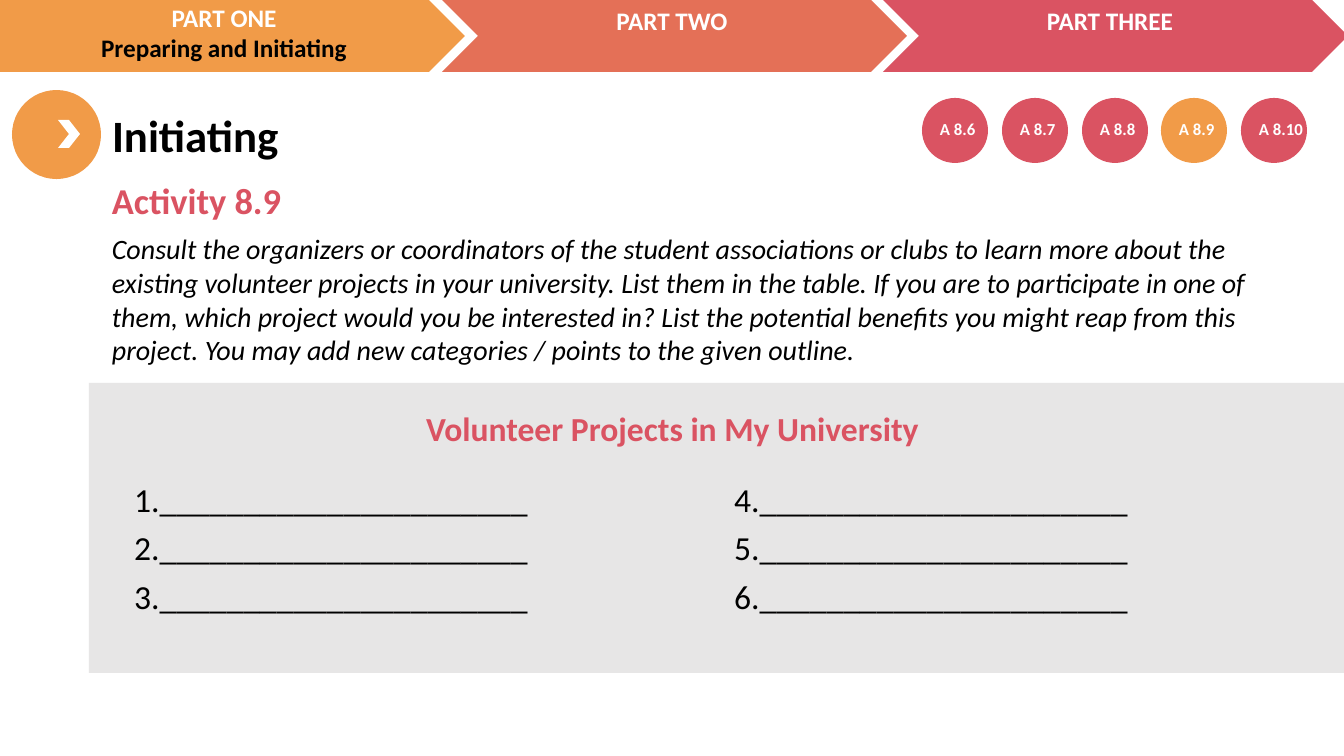
from dataclasses import dataclass

from pptx import Presentation
from pptx.dml.color import RGBColor
from pptx.enum.shapes import MSO_SHAPE
from pptx.enum.text import MSO_ANCHOR, MSO_AUTO_SIZE, PP_ALIGN
from pptx.util import Pt

CHEVRON, OVAL, RECTANGLE = MSO_SHAPE.CHEVRON, MSO_SHAPE.OVAL, MSO_SHAPE.RECTANGLE
LEFT, CENTER = PP_ALIGN.LEFT, PP_ALIGN.CENTER
EMU_PER_PX = 914400 / 100.8
PAGE_WIDTH, PAGE_HEIGHT = 1344, 756


@dataclass(frozen=True)
class Theme:
    font: str = "Calibri"
    orange: str = "F19B48"
    coral: str = "E47057"
    red: str = "DA5362"
    gray: str = "E7E6E6"
    white: str = "FFFFFF"
    black: str = "000000"
    title_size: int = 32
    activity_size: int = 26
    table_size: int = 24
    body_size: int = 20
    banner_size: int = 18
    badge_size: int = 12


THEME = Theme()

TITLE = "Initiating"
ACTIVITY = "Activity 8.9"
INSTRUCTIONS = (
    "Consult the organizers or coordinators of the student associations or clubs "
    "to learn more about the existing volunteer projects in your university. "
    "List them in the table. If you are to participate in one of them, which "
    "project would you be interested in? List the potential benefits you might "
    "reap from this project. You may add new categories / points to the given outline."
)
TABLE_TITLE = "Volunteer Projects in My University"
BADGES = ["A 8.6", "A 8.7", "A 8.8", "A 8.9", "A 8.10"]
CURRENT_BADGE = "A 8.9"
ENTRY_COLUMNS = [(1, 2, 3), (4, 5, 6)]
ENTRY_BLANK = "_" * 22

# Arrow box, fill, text box, lines with their colours
BANNERS = [
    ((442, 0, 465, 72), THEME.coral, (442, 0, 460, 40),
     [("PART TWO", THEME.white)]),
    ((883, 0, 465, 72), THEME.red, (880, 0, 460, 40),
     [("PART THREE", THEME.white)]),
    ((-61, 0, 526, 72), THEME.orange, (-6, -3, 460, 72),
     [("PART ONE", THEME.white), ("Preparing and Initiating", THEME.black)]),
]


def emu(box):
    return [round(length * EMU_PER_PX) for length in box]


def add_block(shapes, kind, box, fill):
    """Add a flat, borderless preset shape."""
    block = shapes.add_shape(kind, *emu(box))
    block.shadow.inherit = False
    block.fill.solid()
    block.fill.fore_color.rgb = RGBColor.from_string(fill)
    block.line.fill.background()


def write(frame, lines, size, align=LEFT, bold=False, italic=False, spacing=None):
    """Fill a text frame with (text, colour) lines, one paragraph each."""
    frame.word_wrap = True
    frame.auto_size = MSO_AUTO_SIZE.NONE
    frame.vertical_anchor = MSO_ANCHOR.TOP
    for index, (text, color) in enumerate(lines):
        para = frame.add_paragraph() if index else frame.paragraphs[0]
        para.text = text
        para.alignment = align
        if spacing:
            para.line_spacing = spacing
        font = para.font
        font.name, font.size = THEME.font, Pt(size)
        font.bold, font.italic = bold, italic
        font.color.rgb = RGBColor.from_string(color)


def add_text(shapes, box, lines, size, **style):
    write(shapes.add_textbox(*emu(box)).text_frame, lines, size, **style)


def add_heading(page):
    add_block(page.shapes, OVAL, (12, 90, 89, 89), THEME.orange)
    add_block(page.shapes, CHEVRON, (58, 120, 22, 28), THEME.white)
    title = page.shapes.title
    title.left, title.top, title.width, title.height = emu((102, 103, 489, 65))
    write(title.text_frame, [(TITLE, THEME.black)], THEME.title_size, bold=True)


def add_banners(page):
    for arrow_box, fill, text_box, lines in BANNERS:
        add_block(page.shapes, CHEVRON, arrow_box, fill)
        add_text(page.shapes, text_box, lines, THEME.banner_size,
                 align=CENTER, bold=True)


def add_badges(page):
    first_left, last_left, top = 922, 1241, 98
    step = (last_left - first_left) / (len(BADGES) - 1)
    for index, label in enumerate(BADGES):
        left = round(first_left + index * step)
        fill = THEME.orange if label == CURRENT_BADGE else THEME.red
        badge = page.shapes.add_group_shape().shapes
        add_block(badge, OVAL, (left, top, 66, 65), fill)
        add_text(badge, (left + 8, top + 16, 80, 30), [(label, THEME.white)],
                 THEME.badge_size, bold=True)


def add_activity(page):
    add_text(page.shapes, (102, 173, 1200, 54), [(ACTIVITY, THEME.red)],
             THEME.activity_size, bold=True)
    add_text(page.shapes, (102, 227, 1190, 146), [(INSTRUCTIONS, THEME.black)],
             THEME.body_size, italic=True)


def add_project_table(page):
    add_block(page.shapes, RECTANGLE, (89, 383, 1298, 290), THEME.gray)
    add_text(page.shapes, (342, 395, 661, 55), [(TABLE_TITLE, THEME.red)],
             THEME.table_size, align=CENTER, bold=True, spacing=1.2)
    for column, numbers in enumerate(ENTRY_COLUMNS):
        entries = [(f"{number}.{ENTRY_BLANK}", THEME.black) for number in numbers]
        add_text(page.shapes, (53 + column * 600, 466, 556, 153), entries,
                 THEME.table_size, align=CENTER, spacing=1.2)


def main():
    deck = Presentation()
    deck.slide_width, deck.slide_height = emu((PAGE_WIDTH, PAGE_HEIGHT))
    page = deck.slides.add_slide(deck.slide_layouts.get_by_name("Title Only"))
    add_heading(page)
    add_banners(page)
    add_activity(page)
    add_badges(page)
    add_project_table(page)
    deck.save("out.pptx")


if __name__ == "__main__":
    main()
